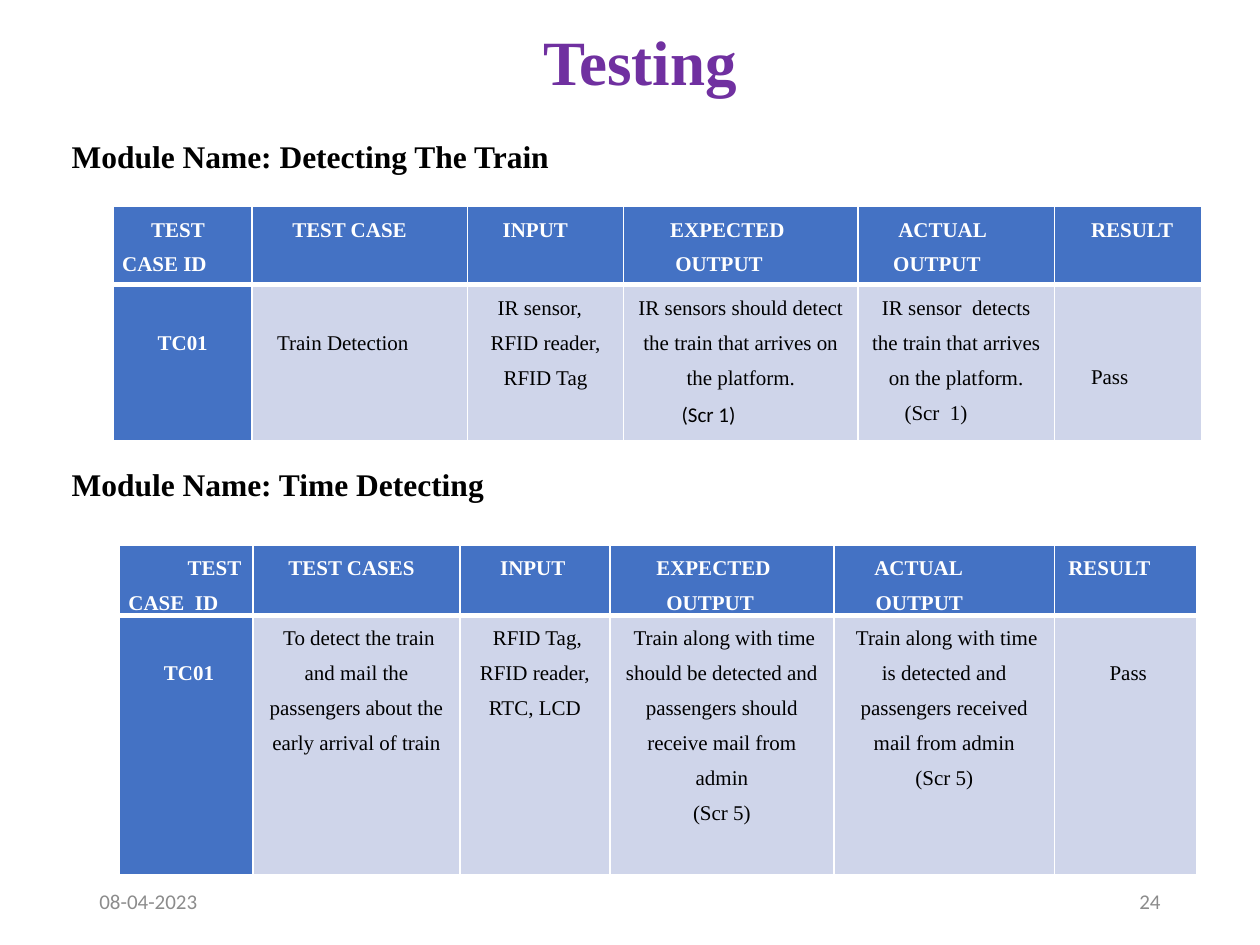
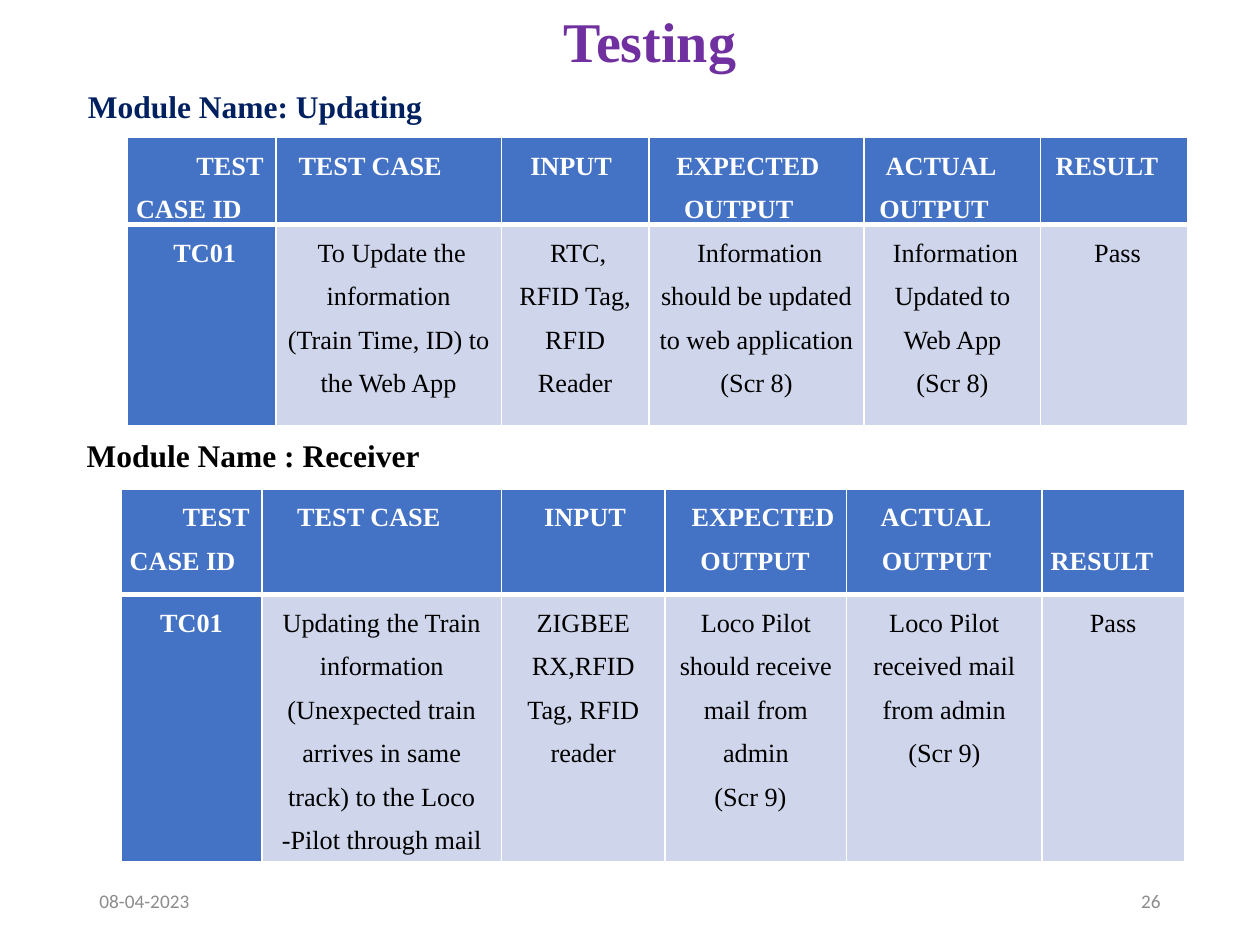
from dataclasses import dataclass
from typing import Optional

from lxml import etree
from pptx import Presentation
from pptx.dml.color import RGBColor
from pptx.enum.text import MSO_ANCHOR, MSO_AUTO_SIZE, PP_ALIGN
from pptx.oxml.ns import qn
from pptx.util import Inches, Pt

LEFT, CENTER, RIGHT = PP_ALIGN.LEFT, PP_ALIGN.CENTER, PP_ALIGN.RIGHT
TOP, MIDDLE = MSO_ANCHOR.TOP, MSO_ANCHOR.MIDDLE
NO_AUTOFIT = MSO_AUTO_SIZE.NONE
TITLE_ONLY = 5


@dataclass(frozen=True)
class Theme:
    serif: str = "Times New Roman"
    sans: str = "Calibri"
    title: str = "7030A0"
    navy: str = "002060"
    black: str = "000000"
    white: str = "FFFFFF"
    header: str = "4472C4"
    body: str = "CFD5EA"
    footer: str = "8C8C8C"
    heading_size: int = 18
    line_spacing: float = 1.5
    thin: float = 1
    thick: float = 3
    cell_margin: float = 0.07


THEME = Theme()


@dataclass(frozen=True)
class Line:
    """Cell line; centred unless left gives an indent. skip leaves lines free above."""
    text: str
    left: Optional[float] = None
    skip: int = 0
    font: str = THEME.serif


SLIDES = [
    {
        "title": {"text": "Testing", "box": (3.28, 0.13, 3.6, 0.71), "size": 36},
        "number": "24", "footer_size": 12,
        "modules": [
            {
                "heading": "Module Name: Detecting The Train",
                "heading_at": (0.47, 1.04), "color": THEME.black,
                "table_at": (0.9, 1.64), "size": 12, "first_indent": 0,
                "columns": [1.1, 1.71, 1.24, 1.86, 1.56, 1.17],
                "rows": [0.62, 1.24],
                "header": [
                    [Line("TEST", 0.23), Line("CASE ID", 0)],
                    [Line("TEST CASE", 0.25)],
                    [Line("INPUT", 0.21)],
                    [Line("EXPECTED", 0.3), Line("OUTPUT", 0.34)],
                    [Line("ACTUAL", 0.25), Line("OUTPUT", 0.21)],
                    [Line("RESULT", 0.22)],
                ],
                "body": [
                    [Line("TC01", skip=1)],
                    [Line("Train Detection", 0.13, skip=1)],
                    [Line("IR sensor,", 0.17), Line("RFID reader, RFID Tag")],
                    [Line("IR sensors should detect the train that arrives on the platform."),
                     Line("(Scr 1)", 0.39, font=THEME.sans)],
                    [Line("IR sensor  detects the train that arrives on the platform."),
                     Line("(Scr  1)", 0.3)],
                    [Line("Pass", 0.22, skip=2)],
                ],
            },
            {
                "heading": "Module Name: Time Detecting",
                "heading_at": (0.47, 3.64), "color": THEME.black,
                "table_at": (0.95, 4.33), "size": 12, "first_indent": 0.04,
                "columns": [1.06, 1.64, 1.19, 1.78, 1.75, 1.13],
                "rows": [0.55, 2.06],
                "header": [
                    [Line("TEST", 0.47), Line("CASE  ID", 0)],
                    [Line("TEST CASES", 0.21)],
                    [Line("INPUT", 0.25)],
                    [Line("EXPECTED", 0.3), Line("OUTPUT", 0.38)],
                    [Line("ACTUAL", 0.25), Line("OUTPUT", 0.26)],
                    [Line("RESULT", 0.04)],
                ],
                "body": [
                    [Line("TC01", skip=1)],
                    [Line("To detect the train and mail the passengers about "
                          "the early arrival of train")],
                    [Line("RFID Tag, RFID reader, RTC, LCD")],
                    [Line("Train along with time should be detected and passengers "
                          "should receive mail from admin"), Line("(Scr 5)")],
                    [Line("Train along with time is detected and passengers "
                          "received mail from admin"), Line("(Scr 5)")],
                    [Line("Pass", skip=1)],
                ],
            },
        ],
    },
    {
        "title": {"text": "Testing", "box": (3.36, 0, 3.6, 0.64), "size": 32},
        "number": "26", "footer_size": 11,
        "modules": [
            {
                "heading": "Module Name: Updating",
                "heading_at": (0.6, 0.64), "color": THEME.navy,
                "table_at": (1.01, 1.09), "size": 15, "first_indent": 0.05,
                "columns": [1.18, 1.79, 1.17, 1.71, 1.4, 1.17],
                "rows": [0.62, 1.6],
                "header": [
                    [Line("TEST", 0.48), Line("CASE ID", 0)],
                    [Line("TEST CASE", 0.11)],
                    [Line("INPUT", 0.16)],
                    [Line("EXPECTED", 0.15), Line("OUTPUT", 0.21)],
                    [Line("ACTUAL", 0.1), Line("OUTPUT", 0.05)],
                    [Line("RESULT", 0.05)],
                ],
                "body": [
                    [Line("TC01")],
                    [Line("To Update the information"),
                     Line("(Train Time, ID) to the Web App")],
                    [Line("RTC,"), Line("RFID Tag, RFID Reader")],
                    [Line("Information should be updated to web application"),
                     Line("(Scr 8)")],
                    [Line("Information Updated to Web App"), Line("(Scr 8)")],
                    [Line("Pass")],
                ],
            },
            {
                "heading": "Module Name : Receiver",
                "heading_at": (0.59, 3.41), "color": THEME.black,
                "table_at": (0.96, 3.88), "size": 15, "first_indent": 0,
                "columns": [1.12, 1.9, 1.3, 1.44, 1.55, 1.13],
                "rows": [0.84, 2.12],
                "header": [
                    [Line("TEST", 0.42), Line("CASE ID", 0)],
                    [Line("TEST CASE", 0.21)],
                    [Line("INPUT", 0.27)],
                    [Line("EXPECTED", 0.14), Line("OUTPUT", 0.21)],
                    [Line("ACTUAL", 0.2), Line("OUTPUT", 0.21)],
                    [Line("RESULT", 0, skip=1)],
                ],
                "body": [
                    [Line("TC01")],
                    [Line("Updating the Train information (Unexpected train arrives "
                          "in same track) to the Loco"), Line("-Pilot through mail")],
                    [Line("ZIGBEE RX,RFID Tag, RFID reader")],
                    [Line("Loco Pilot should receive mail from admin"),
                     Line("(Scr 9)", 0.32)],
                    [Line("Loco Pilot received mail from admin"),
                     Line("(Scr 9)", 0.42)],
                    [Line("Pass")],
                ],
            },
        ],
    },
]
DATE = "08-04-2023"
FOOTER_TOP, FOOTER_WIDTH, FOOTER_HEIGHT, FOOTER_MARGIN = 6.95, 2.25, 0.4, 0.69
HEADING_WIDTH, HEADING_HEIGHT = 4.5, 0.4
SLIDE_WIDTH, SLIDE_HEIGHT = 10, 7.5


def write(paragraph, text, *, size, color, font=THEME.serif, bold=False,
          align=LEFT, spacing=None, left=0, first=0):
    run = paragraph.add_run()
    run.text = text
    run.font.size, run.font.name, run.font.bold = Pt(size), font, bold
    run.font.color.rgb = RGBColor.from_string(color)
    paragraph.alignment = align
    if spacing:
        paragraph.line_spacing = spacing
    properties = paragraph._p.get_or_add_pPr()
    properties.set("marL", str(Inches(left)))
    properties.set("indent", str(Inches(first)))


def prepare_frame(shape, anchor):
    frame = shape.text_frame
    frame.word_wrap, frame.auto_size = True, NO_AUTOFIT
    frame.vertical_anchor = anchor
    return frame.paragraphs[0]


def add_label(slide, text, box, anchor=TOP, **text_format):
    shape = slide.shapes.add_textbox(*map(Inches, box))
    write(prepare_frame(shape, anchor), text, **text_format)


def add_title(slide, text, box, size):
    title = slide.shapes.title
    title.left, title.top, title.width, title.height = map(Inches, box)
    write(prepare_frame(title, TOP), text, size=size, color=THEME.title,
          bold=True, align=CENTER)


def set_borders(cell, **widths):
    """Draw white borders; call before the cell is filled, as XML order matters."""
    properties = cell._tc.get_or_add_tcPr()
    for side in "LRTB":
        width = widths.get(side, THEME.thin)
        line = etree.SubElement(properties, qn(f"a:ln{side}"), w=str(Pt(width)))
        fill = etree.SubElement(line, qn("a:solidFill"))
        etree.SubElement(fill, qn("a:srgbClr"), val=THEME.white)


def fill_cell(cell, lines, size, is_header, is_label, first_indent):
    set_borders(cell, **{"B" if is_header else "T": THEME.thick})
    cell.fill.solid()
    cell.fill.fore_color.rgb = RGBColor.from_string(
        THEME.header if is_label else THEME.body)
    cell.margin_left = cell.margin_right = Inches(THEME.cell_margin)
    line_height = Pt(size * THEME.line_spacing * 1.11)
    cell.margin_top, cell.margin_bottom = lines[0].skip * line_height, 0
    for index, line in enumerate(lines):
        frame = cell.text_frame
        paragraph = frame.add_paragraph() if index else frame.paragraphs[0]
        centered = line.left is None
        write(paragraph, line.text, size=size, font=line.font, bold=is_label,
              color=THEME.white if is_label else THEME.black,
              align=CENTER if centered else LEFT, spacing=THEME.line_spacing,
              left=line.left or 0,
              first=first_indent if centered and index == 0 else 0)


def add_module(slide, module):
    add_label(slide, module["heading"],
              (*module["heading_at"], HEADING_WIDTH, HEADING_HEIGHT),
              size=THEME.heading_size, color=module["color"], bold=True)
    columns, rows = module["columns"], module["rows"]
    box = (*module["table_at"], sum(columns), sum(rows))
    table = slide.shapes.add_table(len(rows), len(columns), *map(Inches, box)).table
    table.horz_banding = False
    for column, width in zip(table.columns, columns):
        column.width = Inches(width)
    for row, height in zip(table.rows, rows):
        row.height = Inches(height)
    for row_index, cells in enumerate((module["header"], module["body"])):
        for column_index, lines in enumerate(cells):
            is_header = row_index == 0
            fill_cell(table.cell(row_index, column_index), lines, module["size"],
                      is_header, is_header or column_index == 0,
                      module["first_indent"])


def add_footer(slide, number, size):
    right_edge = SLIDE_WIDTH - FOOTER_MARGIN - FOOTER_WIDTH
    for text, left, align in ((DATE, FOOTER_MARGIN, LEFT), (number, right_edge, RIGHT)):
        add_label(slide, text, (left, FOOTER_TOP, FOOTER_WIDTH, FOOTER_HEIGHT),
                  MIDDLE, size=size, color=THEME.footer, font=THEME.sans, align=align)


def main():
    presentation = Presentation()
    presentation.slide_width = Inches(SLIDE_WIDTH)
    presentation.slide_height = Inches(SLIDE_HEIGHT)
    for content in SLIDES:
        slide = presentation.slides.add_slide(presentation.slide_layouts[TITLE_ONLY])
        add_title(slide, **content["title"])
        for module in content["modules"]:
            add_module(slide, module)
        add_footer(slide, content["number"], content["footer_size"])
    presentation.save("out.pptx")


if __name__ == "__main__":
    main()
